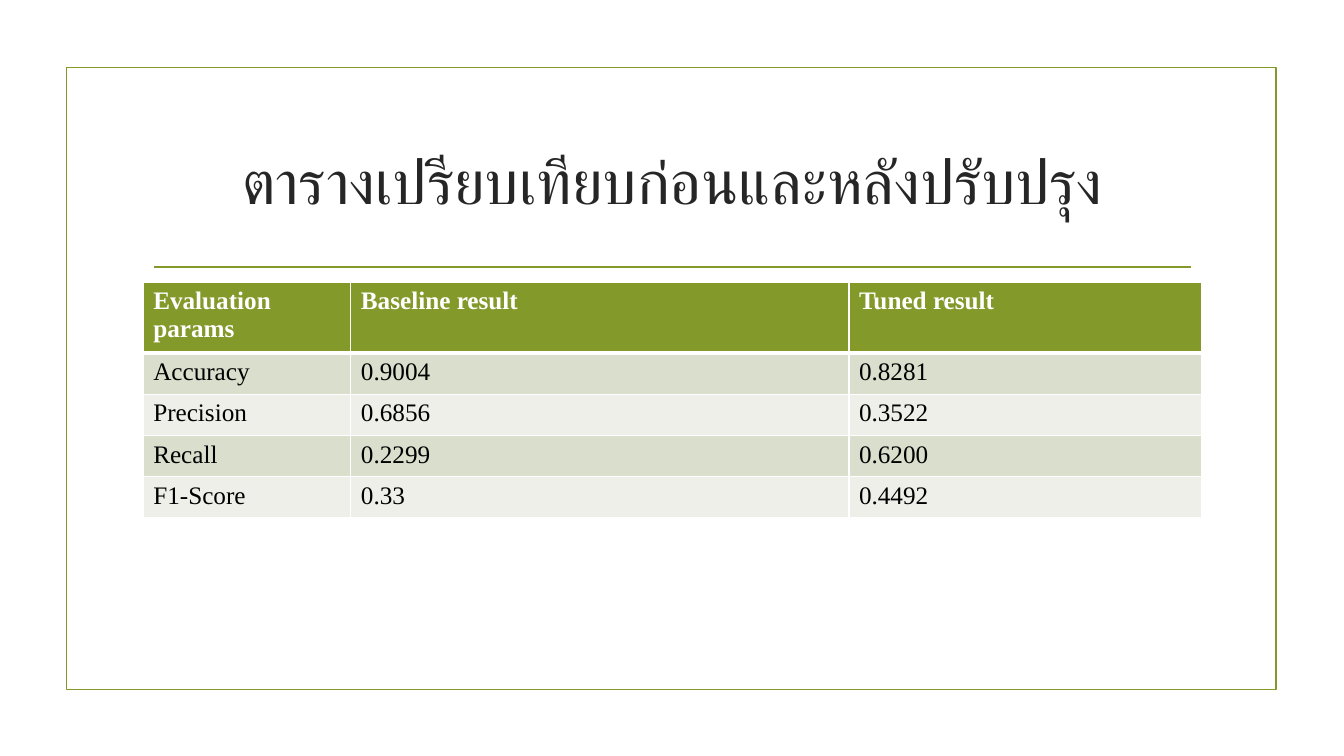
import pptx
import pptx.dml.color
import pptx.enum.shapes
import pptx.enum.text
import pptx.oxml.ns
import pptx.util
from dataclasses import dataclass
from lxml import etree

Inches = pptx.util.Inches
Pt = pptx.util.Pt
qn = pptx.oxml.ns.qn


@dataclass(frozen=True)
class Theme:
    font: str = "Times New Roman"
    accent: str = "83992A"
    title: str = "262626"
    white: str = "FFFFFF"
    body: str = "000000"
    bands: tuple = ("D9DECD", "EDEFE8")
    title_size: int = 44
    table_size: int = 18
    rule_width: float = 1.25


def rgb(value):
    return pptx.dml.color.RGBColor.from_string(value)


class SlideBuilder:
    def __init__(self, slide, theme):
        self.slide = slide
        self.theme = theme

    def style_line(self, line):
        line.color.rgb = rgb(self.theme.accent)
        line.width = Pt(self.theme.rule_width)

    def style_paragraph(self, paragraph, size, color, bold=False):
        """Set the font for Latin and for complex scripts such as Thai."""
        font = paragraph.font
        font.name = self.theme.font
        font.size = Pt(size)
        font.bold = bold
        font.color.rgb = rgb(color)
        properties = paragraph._p.pPr.find(qn("a:defRPr"))
        etree.SubElement(properties, qn("a:cs"), typeface=self.theme.font)

    def frame(self, left, top, width, height):
        shape = self.slide.shapes.add_shape(
            pptx.enum.shapes.MSO_SHAPE.RECTANGLE,
            Inches(left), Inches(top), Inches(width), Inches(height))
        shape.shadow.inherit = False
        shape.fill.background()
        self.style_line(shape.line)

    def rule(self, left, right, y):
        connector = self.slide.shapes.add_connector(
            pptx.enum.shapes.MSO_CONNECTOR.STRAIGHT,
            Inches(left), Inches(y), Inches(right), Inches(y))
        self.style_line(connector.line)
        etree.SubElement(connector._element.spPr, qn("a:effectLst"))

    def title(self, text, left, top, width, height):
        box = self.slide.shapes.add_textbox(
            Inches(left), Inches(top), Inches(width), Inches(height))
        text_frame = box.text_frame
        text_frame.word_wrap = True
        text_frame.vertical_anchor = pptx.enum.text.MSO_ANCHOR.MIDDLE
        paragraph = text_frame.paragraphs[0]
        paragraph.text = text
        paragraph.alignment = pptx.enum.text.PP_ALIGN.CENTER
        self.style_paragraph(paragraph, self.theme.title_size, self.theme.title)

    def border(self, cell, side, points):
        properties = cell._tc.get_or_add_tcPr()
        line = etree.SubElement(properties, qn(f"a:ln{side}"), w=str(Pt(points)))
        fill = etree.SubElement(line, qn("a:solidFill"))
        etree.SubElement(fill, qn("a:srgbClr"), val=self.theme.white)

    def table(self, rows, left, top, column_widths, row_height):
        table = self.slide.shapes.add_table(
            len(rows), len(column_widths), Inches(left), Inches(top),
            Inches(sum(column_widths)), Inches(row_height * len(rows))).table
        for column, width in zip(table.columns, column_widths):
            column.width = Inches(width)
        for row_index, values in enumerate(rows):
            table.rows[row_index].height = Inches(row_height)
            for column_index, value in enumerate(values):
                self.cell(table.cell(row_index, column_index), value, row_index)

    def cell(self, cell, value, row_index):
        header = row_index == 0
        widths = {"L": 1, "R": 1, "T": 3 if row_index == 1 else 1, "B": 3 if header else 1}
        for side, points in widths.items():
            self.border(cell, side, points)
        cell.fill.solid()
        band = self.theme.bands[(row_index - 1) % 2]
        cell.fill.fore_color.rgb = rgb(self.theme.accent if header else band)
        paragraph = cell.text_frame.paragraphs[0]
        paragraph.text = value
        color = self.theme.white if header else self.theme.body
        self.style_paragraph(paragraph, self.theme.table_size, color, header)


def main():
    presentation = pptx.Presentation()
    presentation.slide_width = Inches(13.33)
    presentation.slide_height = Inches(7.5)
    slide = presentation.slides.add_slide(presentation.slide_layouts[6])
    builder = SlideBuilder(slide, Theme())
    builder.frame(0.66, 0.67, 12, 6.17)
    builder.rule(1.53, 11.81, 2.65)
    builder.title("ตารางเปรียบเทียบก่อนและหลังปรับปรุง", 1.42, 1.07, 10.5, 1.43)
    results = [
        ("Evaluation params", "Baseline result", "Tuned result"),
        ("Accuracy", "0.9004", "0.8281"),
        ("Precision", "0.6856", "0.3522"),
        ("Recall", "0.2299", "0.6200"),
        ("F1-Score", "0.33", "0.4492"),
    ]
    builder.table(results, 1.42, 2.8, (2.06, 4.94, 3.5), 0.41)
    presentation.save("out.pptx")


if __name__ == "__main__":
    main()
